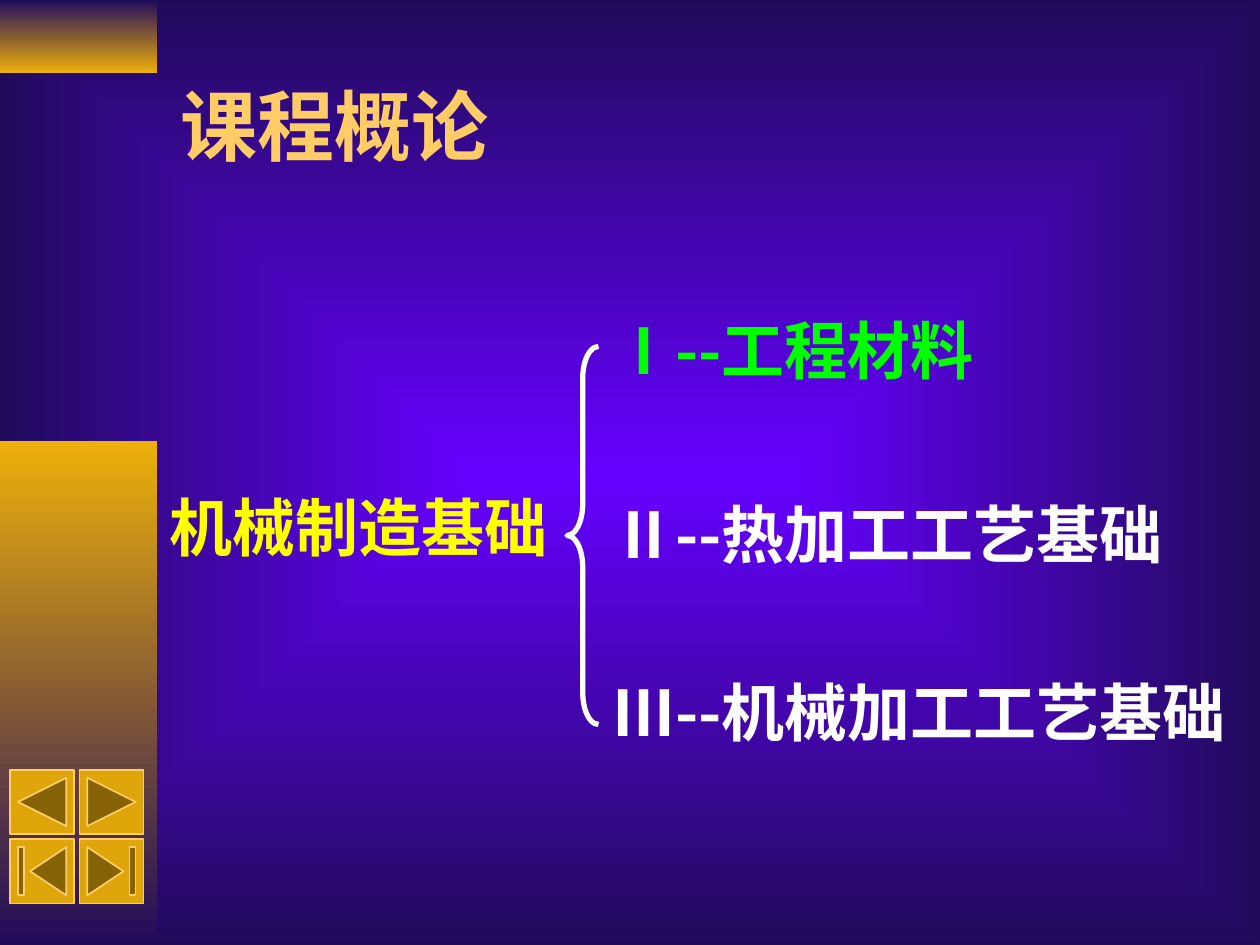
from lxml.etree import SubElement
from pptx import Presentation
from pptx.dml.color import RGBColor
from pptx.enum.shapes import MSO_SHAPE
from pptx.enum.text import MSO_ANCHOR, MSO_AUTO_SIZE, PP_ALIGN
from pptx.oxml.ns import qn
from pptx.util import Inches, Pt

WIDTH, HEIGHT = 10, 7.5
CJK, LATIN = "Noto Sans CJK SC", "Times New Roman"
NAVY, GOLD, PALE_GOLD, WHITE = "200B5B", "EEB00B", "FFCC66", "FFFFFF"


def rgb(hex_colour):
    return RGBColor.from_string(hex_colour)


def inches(box):
    return [Inches(length) for length in box]


def set_gradient(fill, start, end):
    fill.gradient()
    for stop, position, colour in zip(fill.gradient_stops, (0, 1), (start, end)):
        stop.position = position
        stop.color.rgb = rgb(colour)


def style_text(frame, size, colour, font):
    """Format every run, with the Chinese glyphs in the CJK face."""
    for paragraph in frame.paragraphs:
        paragraph.alignment = PP_ALIGN.LEFT
        for run in paragraph.runs:
            run.font.size = Pt(size)
            run.font.bold = True
            run.font.color.rgb = rgb(colour)
            run.font.name = font
            SubElement(run._r.get_or_add_rPr(), qn("a:ea"), typeface=CJK)


def paint_background(slide):
    """Rectangular glow from the centre of the slide outwards."""
    set_gradient(slide.background.fill, "6600FF", NAVY)
    gradient = slide.background._cSld.find(".//" + qn("a:gradFill"))
    gradient.remove(gradient.find(qn("a:lin")))
    glow = SubElement(gradient, qn("a:path"), path="rect")
    SubElement(glow, qn("a:fillToRect"), l="50000", t="50000", r="50000", b="50000")


def add_side_bar(slide, box):
    left, top, width, height = box
    bands = ((0, 0.58, NAVY, GOLD), (3.5, height - 3.5, GOLD, NAVY))
    for offset, band_height, start, end in bands:
        band = slide.shapes.add_shape(
            MSO_SHAPE.RECTANGLE, *inches((left, top + offset, width, band_height)))
        band.shadow.inherit = False
        set_gradient(band.fill, start, end)
        band.fill.gradient_angle = 270
        band.line.fill.background()


def add_title(slide, box):
    title = slide.shapes.title
    title.left, title.top, title.width, title.height = inches(box)
    title.text_frame.text = "课程概论"
    title.text_frame.vertical_anchor = MSO_ANCHOR.MIDDLE
    style_text(title.text_frame, 44, PALE_GOLD, LATIN)


def add_label(slide, box, wording, colour, font=CJK, wrap=False):
    frame = slide.shapes.add_textbox(*inches(box)).text_frame
    frame.text = wording
    frame.word_wrap = wrap
    frame.auto_size = MSO_AUTO_SIZE.SHAPE_TO_FIT_TEXT
    style_text(frame, 36, colour, font)


def add_course_outline(slide, box):
    """Subject on the left, a brace, and its three parts on the right."""
    left, top, width, height = box
    row = 0.7
    add_label(slide, (left, top + 1.41, 3.68, row), "机械制造基础", "FFFF00", LATIN, True)

    brace = slide.shapes.add_shape(
        MSO_SHAPE.LEFT_BRACE, *inches((left + 3.25, top + 0.33, 0.25, 3)))
    brace.shadow.inherit = False
    brace.adjustments[0] = 1
    brace.fill.background()
    brace.line.color.rgb = rgb(WHITE)
    brace.line.width = Pt(3)

    parts = (("Ⅰ--工程材料", 0, 3.19, "00FF00"),
             ("Ⅱ--热加工工艺基础", 1.46, 4.69, WHITE),
             ("Ⅲ--机械加工工艺基础", height - row, 5.19, WHITE))
    for wording, offset, part_width, colour in parts:
        add_label(slide, (left + 3.51, top + offset, part_width, row), wording, colour)


def add_navigation(slide, box):
    """Two by two grid of action buttons."""
    left, top, side, _ = box
    gap = 0.04
    size = (side - gap) / 2
    buttons = (MSO_SHAPE.ACTION_BUTTON_BACK_OR_PREVIOUS,
               MSO_SHAPE.ACTION_BUTTON_FORWARD_OR_NEXT,
               MSO_SHAPE.ACTION_BUTTON_BEGINNING,
               MSO_SHAPE.ACTION_BUTTON_END)
    for index, preset in enumerate(buttons):
        row, column = divmod(index, 2)
        button = slide.shapes.add_shape(preset, *inches(
            (left + column * (size + gap), top + row * (size + gap), size, size)))
        button.shadow.inherit = False
        button.fill.solid()
        button.fill.fore_color.rgb = rgb("DEA60A")
        button.line.color.rgb = rgb(PALE_GOLD)
        button.line.width = Pt(1)


def main():
    deck = Presentation()
    deck.slide_width, deck.slide_height = Inches(WIDTH), Inches(HEIGHT)
    slide = deck.slides.add_slide(deck.slide_layouts.get_by_name("Title Only"))
    bar_width = WIDTH / 8
    paint_background(slide)
    add_side_bar(slide, (0, 0, bar_width, HEIGHT))
    add_title(slide, (1.33, 0.33, 8.5, 1.32))
    add_course_outline(slide, (bar_width, 2.42, WIDTH - bar_width, 3.58))
    add_navigation(slide, (0.08, 6.11, 1.06, 1.06))
    deck.save("out.pptx")


if __name__ == "__main__":
    main()
